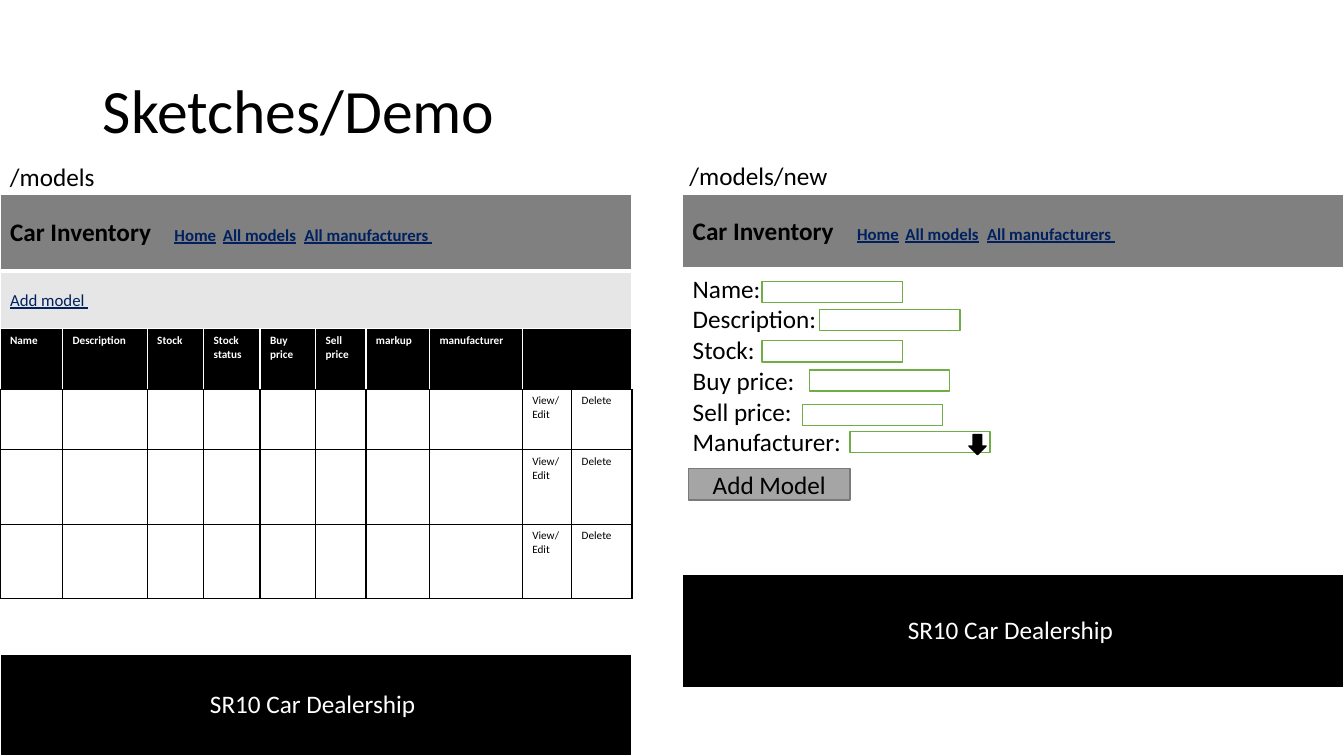
from lxml import etree
from pptx import Presentation
from pptx import util as u
from pptx.dml.color import RGBColor
from pptx.enum import shapes, text
from pptx.oxml import ns

BLACK = RGBColor(0x00, 0x00, 0x00)
WHITE = RGBColor(0xFF, 0xFF, 0xFF)
GREY = RGBColor(0x80, 0x80, 0x80)
PALE = RGBColor(0xE7, 0xE6, 0xE6)
NAVY = RGBColor(0x00, 0x20, 0x60)
GREEN = RGBColor(0x70, 0xAD, 0x47)
BUTTON = RGBColor(0xA5, 0xA5, 0xA5)
BUTTON_EDGE = RGBColor(0x7A, 0x7A, 0x7A)

LEFT, CENTER = text.PP_ALIGN.LEFT, text.PP_ALIGN.CENTER
TOP, MIDDLE = text.MSO_ANCHOR.TOP, text.MSO_ANCHOR.MIDDLE


class Sketch:
    """Draws on one slide; every length is a percentage of its size."""

    font = "Calibri"

    def __init__(self, deck):
        self.width, self.height = deck.slide_width, deck.slide_height
        self.page = deck.slides.add_slide(deck.slide_layouts[5])

    def across(self, share):
        return round(self.width * share / 100)

    def down(self, share):
        return round(self.height * share / 100)

    def area(self, left, top, width, height):
        return (self.across(left), self.down(top),
                self.across(width), self.down(height))

    def style(self, span, size, color=BLACK, bold=False, underline=False):
        span.font.name, span.font.size = self.font, u.Pt(size)
        span.font.bold, span.font.underline = bold, underline
        span.font.color.rgb = color

    def put_text(self, frame, words, size=18, align=LEFT, **look):
        frame.text = words
        for para in frame.paragraphs:
            para.alignment = align
            for span in para.runs:
                self.style(span, size, **look)

    def title(self, words, *place):
        box = self.page.shapes.title
        box.left, box.top, box.width, box.height = self.area(*place)
        frame = box.text_frame
        frame.auto_size = text.MSO_AUTO_SIZE.NONE
        frame.vertical_anchor = MIDDLE
        self.put_text(frame, words, 44)
        frame.paragraphs[0].line_spacing = 0.9

    def label(self, words, *place):
        frame = self.page.shapes.add_textbox(*self.area(*place)).text_frame
        frame.word_wrap = True
        self.put_text(frame, words)

    def shape(self, kind, place, fill, line, words=""):
        box = self.page.shapes.add_shape(kind, *self.area(*place))
        box.shadow.inherit = False
        box.fill.solid()
        box.fill.fore_color.rgb = fill
        box.line.color.rgb = line
        box.line.width = u.Pt(1)
        if words:
            box.text_frame.vertical_anchor = MIDDLE
            self.put_text(box.text_frame, words, align=CENTER)

    def table(self, left, top, columns, rows):
        place = self.area(left, top, sum(columns), sum(rows))
        grid = self.page.shapes.add_table(len(rows), len(columns), *place).table
        grid.first_row = grid.horz_banding = False
        for column, share in zip(grid.columns, columns):
            column.width = self.across(share)
        for row, share in zip(grid.rows, rows):
            row.height = self.down(share)
        return grid

    def paint(self, cell, fill, edge, anchor=TOP, **special):
        """Fill a cell and rule its sides; special maps a side to (colour, points)."""
        cell.fill.solid()
        cell.fill.fore_color.rgb = fill
        cell.vertical_anchor = anchor
        properties = cell._tc.get_or_add_tcPr()
        for place, side in enumerate("LRTB"):
            color, points = special.get(side, (edge, 1))
            line = etree.Element(ns.qn("a:ln" + side), w=str(u.Pt(points)))
            solid = etree.SubElement(line, ns.qn("a:solidFill"))
            etree.SubElement(solid, ns.qn("a:srgbClr"), val=str(color))
            properties.insert(place, line)

    def navigation(self, cell):
        """Site name, then links set on tab stops."""
        para = cell.text_frame.paragraphs[0]
        stops = etree.SubElement(para._p.get_or_add_pPr(), ns.qn("a:tabLst"))
        for share in (12.23, 15.83, 21.9):
            etree.SubElement(stops, ns.qn("a:tab"),
                             pos=str(self.across(share)), algn="l")
        span = para.add_run()
        span.text = "Car Inventory"
        self.style(span, 18, bold=True)
        for link in ("Home", "All models", "All manufacturers "):
            for words, underline in (("\t", False), (link, True)):
                span = para.add_run()
                span.text = words
                self.style(span, 12, NAVY, True, underline)

    def site(self, left, top, width, rows, fills):
        """Page frame: navigation bar, content rows and footer."""
        grid = self.table(left, top, [width], rows)
        cells = [row.cells[0] for row in grid.rows]
        thick = (WHITE, 3)
        for number, (cell, fill) in enumerate(zip(cells, fills)):
            special = {0: {"B": thick}, 1: {"T": thick}}.get(number, {})
            self.paint(cell, fill, WHITE, MIDDLE, **special)
        self.navigation(cells[0])
        self.put_text(cells[-1].text_frame, "SR10 Car Dealership ",
                      align=CENTER, color=WHITE)
        return cells[1]

    def inventory(self, left, top, columns, rows, headings, actions):
        grid = self.table(left, top, columns, rows)
        for number, row in enumerate(grid.rows):
            for cell in row.cells:
                if number == 0:
                    self.paint(cell, BLACK, WHITE, B=(BLACK, 1))
                else:
                    self.paint(cell, WHITE, BLACK)
            if number:
                for cell, words in zip(list(row.cells)[-len(actions):], actions):
                    self.put_text(cell.text_frame, words, 8)
        for column, words in enumerate(headings):
            self.put_text(grid.cell(0, column).text_frame, words, 8,
                          color=WHITE, bold=True)
        grid.cell(0, len(headings)).merge(grid.cell(0, len(columns) - 1))


def main():
    deck = Presentation()
    deck.slide_width, deck.slide_height = u.Inches(13.33), u.Inches(7.5)
    sketch = Sketch(deck)
    sketch.title("Sketches/Demo", 6.9, 5.33, 86.27, 19.33)

    # Left page: list of models
    add_row = sketch.site(0, 25.73, 46.96, [10.13, 7.73, 42.93, 13.47],
                          [GREY, PALE, WHITE, BLACK])
    sketch.put_text(add_row.text_frame, "Add model ", 12, color=NAVY, underline=True)
    sketch.inventory(
        0, 43.47,
        [4.65, 6.3, 4.2, 4.2, 4.13, 3.75, 4.73, 6.9, 3.68, 4.5],
        [8, 8, 9.87, 9.87],
        ["Name", "Description", "Stock", "Stock\nstatus", "Buy\nprice",
         "Sell\nprice", "markup", "manufacturer"],
        ["View/\nEdit", "Delete"])

    # Right page: form for a new model
    form = sketch.site(50.79, 25.73, 49.21, [9.87, 40.4, 14.93],
                       [GREY, WHITE, BLACK])
    form.vertical_anchor = TOP
    fields = [("Name:", 56.71, 37.2), ("Description:", 60.99, 40.93),
              ("Stock:", 56.71, 45.07), ("Buy price:", 60.24, 48.93),
              ("Sell price:", 59.71, 53.47), ("Manufacturer:", 63.24, 57.07)]
    sketch.put_text(form.text_frame, "\n".join(name for name, _, _ in fields))
    rectangle = shapes.MSO_SHAPE.RECTANGLE
    for _, left, top in fields:
        sketch.shape(rectangle, (left, top, 10.43, 2.8), WHITE, GREEN)
    sketch.shape(shapes.MSO_SHAPE.DOWN_ARROW, (72.09, 57.47, 1.28, 2.67),
                 BLACK, BLACK)
    sketch.shape(rectangle, (51.24, 62, 12, 4.13), BUTTON, BUTTON_EDGE, "Add Model")

    # Page addresses
    sketch.label("/models", 0, 20.67, 9.53, 5.33)
    sketch.label("/models/new", 50.56, 20.53, 14.85, 5.33)

    deck.save("out.pptx")


if __name__ == "__main__":
    main()
